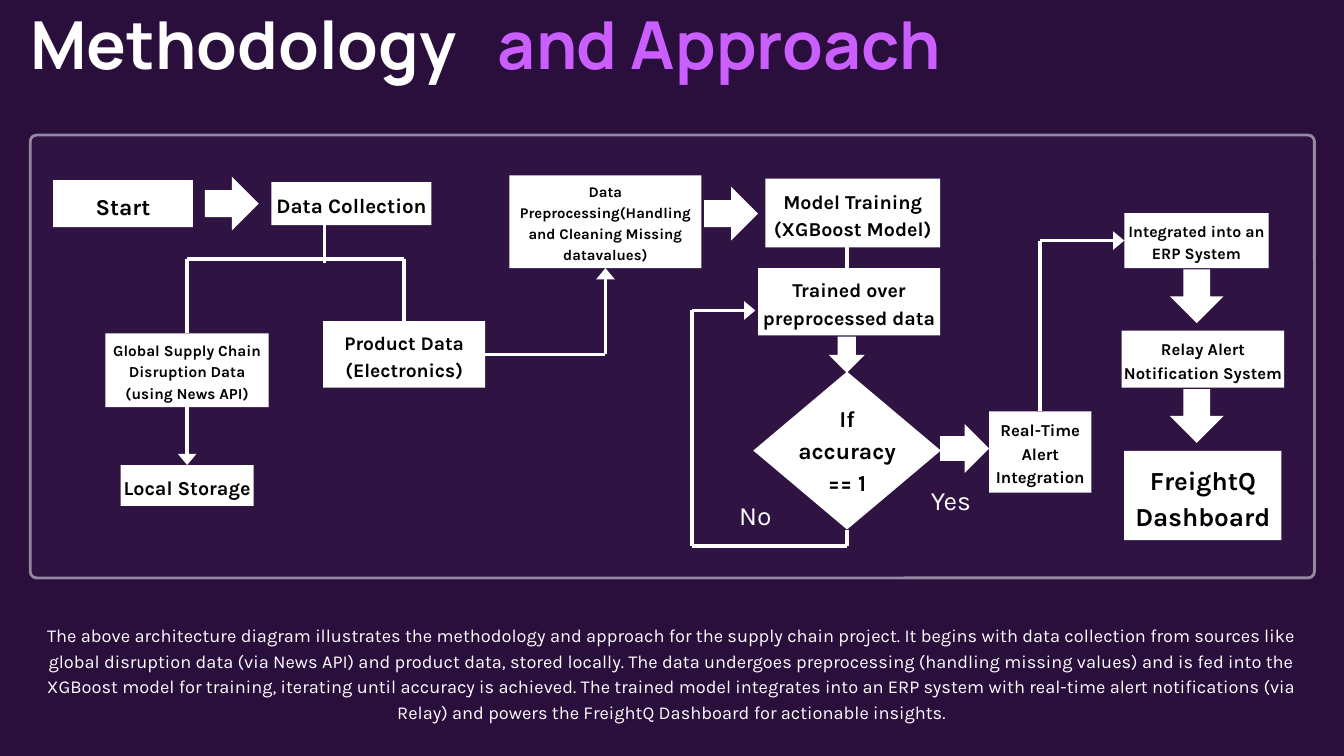
from itertools import pairwise
from lxml.etree import SubElement
from pptx import Presentation
from pptx.dml.color import RGBColor
from pptx.enum.shapes import MSO_CONNECTOR as Conn, MSO_SHAPE as Shape
from pptx.enum.text import MSO_ANCHOR as Anchor, PP_ALIGN as Align
from pptx.oxml.ns import qn
from pptx.util import Inches, Pt

WIDE, HIGH = Inches(20), Inches(11.25)
COLS, ROWS = 200, 112.5
TOP, LEFT, BOTTOM, RIGHT = range(4)


def paint(fill, hue, alpha=None):
    """Make a fill solid in a hex colour; alpha is a percentage."""
    fill.solid()
    fill.fore_color.rgb = RGBColor.from_string(hue)
    if alpha:
        color = fill._xPr.find(qn("a:solidFill"))[0]
        SubElement(color, qn("a:alpha"), val=str(alpha * 1000))


def apply(item, values):
    for key, value in values.items():
        setattr(item, key, value)


class Board:
    """Style and current slide; lengths are columns and rows of the grid."""
    back, panel, white, black, violet = "2A0E3C", "32184B", "FFFFFF", "000000", "CB5EFF"
    head, body = "Manrope", "Karla"
    stroke = 4

    def __init__(self, slide):
        self.slide = slide
        paint(slide.background.fill, self.back)

    def grid(self, *spans):
        """Turn x, y, x, y ... in grid cells into lengths."""
        units = (WIDE / COLS, HIGH / ROWS)
        return [round(span * units[i % 2]) for i, span in enumerate(spans)]

    def label(self, shape, words, size, lead, hue, **look):
        frame = shape.text_frame
        apply(frame, {"word_wrap": True, "margin_left": 0, "margin_right": 0,
                      "margin_top": 0, "margin_bottom": 0,
                      "vertical_anchor": look.get("anchor", Anchor.TOP)})
        para = frame.paragraphs[0]
        apply(para, {"alignment": look.get("align", Align.CENTER),
                     "line_spacing": Pt(lead)})
        run = para.add_run()
        run.text = words
        apply(run.font, {"name": look.get("face", self.body), "size": Pt(size),
                         "bold": look.get("bold", False)})
        paint(run.font.fill, hue)

    def text(self, area, words, size, lead, hue=white, **look):
        self.label(self.slide.shapes.add_textbox(*self.grid(*area)),
                   words, size, lead, hue, **look)

    def shape(self, kind, area, hue=white, alpha=None):
        shape = self.slide.shapes.add_shape(kind, *self.grid(*area))
        shape.shadow.inherit = False
        paint(shape.fill, hue, alpha)
        shape.line.fill.background()
        return shape

    def frame(self, area):
        panel = self.shape(Shape.ROUNDED_RECTANGLE, area, self.panel, 50)
        panel.adjustments[0] = 0.014
        panel.line.width = Pt(3)
        paint(panel.line.fill, self.white, 50)

    def step(self, area, words, size, lead):
        box = self.shape(Shape.RECTANGLE, area)
        self.label(box, words, size, lead, self.black, bold=True, anchor=Anchor.MIDDLE)
        return box

    def link(self, *points, start=None, end=None, tip=False):
        """Draw straight lines through points; start and end are (shape, side)."""
        lines = []
        for a, b in pairwise(points):
            line = self.slide.shapes.add_connector(Conn.STRAIGHT, *self.grid(*a, *b))
            line.line.width = Pt(self.stroke)
            paint(line.line.fill, self.white)
            SubElement(line._element.spPr, qn("a:effectLst"))
            lines.append(line)
        if start:
            lines[0].begin_connect(*start)
        if end:
            lines[-1].end_connect(*end)
        if tip:
            SubElement(lines[-1].line._get_or_add_ln(), qn("a:tailEnd"),
                       type="triangle", w="lg", len="med")


STEPS = {
    "start": ((7.9, 26.8, 20.8, 7), "Start", 24.4, 34.2),
    "collect": ((40.4, 27.1, 23.8, 6.4), "Data Collection", 22.1, 31),
    "global": ((15.7, 49.6, 24.3, 11),
               "Global Supply Chain Disruption Data (using News API)", 16.4, 23),
    "store": ((17.95, 69.2, 19.8, 6.1), "Local Storage", 21.2, 29.7),
    "product": ((48.1, 47.8, 24.1, 9.9), "Product Data (Electronics)", 20.7, 29),
    "clean": ((75.8, 26.1, 28.6, 13.8),
              "Data Preprocessing(Handling and Cleaning Missing datavalues)", 15.9, 22.3),
    "model": ((113.9, 26.6, 26, 10.2), "Model Training (XGBoost Model)", 21.1, 29.6),
    "train": ((112.8, 39.9, 27.1, 10), "Trained over preprocessed data", 21, 29.4),
    "live": ((147.2, 61.2, 15.2, 12.1), "Real-Time Alert Integration", 17.9, 25.1),
    "erp": ((167.3, 31.7, 21.5, 8.2), "Integrated into an ERP System", 17, 23.8),
    "alert": ((166.9, 49.2, 24.2, 8.5), "Relay Alert Notification System", 17.8, 24.9),
    "dash": ((167.3, 67.1, 23.4, 13.3), "FreightQ Dashboard", 27.9, 39),
}
ARROWS = [
    (Shape.RIGHT_ARROW, 30.5, 26.3, 8), (Shape.RIGHT_ARROW, 104.8, 27.8, 8),
    (Shape.RIGHT_ARROW, 139.9, 63.1, 7.3), (Shape.DOWN_ARROW, 123.3, 50.1, 5.4),
    (Shape.DOWN_ARROW, 174.1, 40.1, 8), (Shape.DOWN_ARROW, 174.1, 57.9, 8),
]
SUMMARY = (
    "The above architecture diagram illustrates the methodology and approach for the "
    "supply chain project. It begins with data collection from sources like global "
    "disruption data (via News API) and product data, stored locally. The data undergoes "
    "preprocessing (handling missing values) and is fed into the XGBoost model for "
    "training, iterating until accuracy is achieved. The trained model integrates into an "
    "ERP system with real-time alert notifications (via Relay) and powers the FreightQ "
    "Dashboard for actionable insights.")


def main():
    deck = Presentation()
    apply(deck, {"slide_width": WIDE, "slide_height": HIGH})
    board = Board(deck.slides.add_slide(deck.slide_layouts[6]))

    for x, words, hue in ((4.5, "Methodology", board.white),
                          (74.1, "and Approach", board.violet)):
        board.text((x, 1.2, 86.4, 12), words, 70.9, 80.1, hue,
                   face=board.head, bold=True, align=Align.LEFT)
    board.frame((4.5, 20.1, 191.1, 65.9))

    box = {name: board.step(*step) for name, step in STEPS.items()}
    check = board.shape(Shape.DIAMOND, (112.1, 55.3, 27.9, 23.5))
    board.text((117.5, 58.5, 17.1, 16.3), "If accuracy == 1", 24.4, 34.2, board.black,
               bold=True, anchor=Anchor.MIDDLE)
    for kind, x, y, size in ARROWS:
        board.shape(kind, (x, y, size, size))

    board.link((48.3, 33.5), (48.3, 39.1))
    board.link((27.85, 49.6), (27.85, 38.5), (60.15, 38.5), (60.15, 47.8),
               start=(box["global"], TOP), end=(box["product"], TOP))
    board.link((27.85, 60.6), (27.85, 69.2), tip=True,
               start=(box["global"], BOTTOM), end=(box["store"], TOP))
    board.link((72.2, 52.75), (90.1, 52.75), (90.1, 39.9), tip=True,
               start=(box["product"], RIGHT), end=(box["clean"], BOTTOM))
    board.link((126, 36.8), (126, 39.9))
    board.link((126.05, 78.8), (126.05, 81.2), (103, 81.2), (103, 46.2), (112.4, 46.2),
               start=(check, BOTTOM), tip=True)
    board.link((154.8, 61.2), (154.8, 35.8), (167.3, 35.8), tip=True,
               start=(box["live"], TOP), end=(box["erp"], LEFT))

    board.text((138.2, 71.2, 6.6, 5), "Yes", 28.2, 39.5)
    board.text((109.7, 73.5, 5.4, 5), "No", 28.2, 39.5)
    board.text((5.6, 92.4, 188.8, 14.9), SUMMARY, 19.5, 27.3)
    deck.save("out.pptx")


if __name__ == "__main__":
    main()
